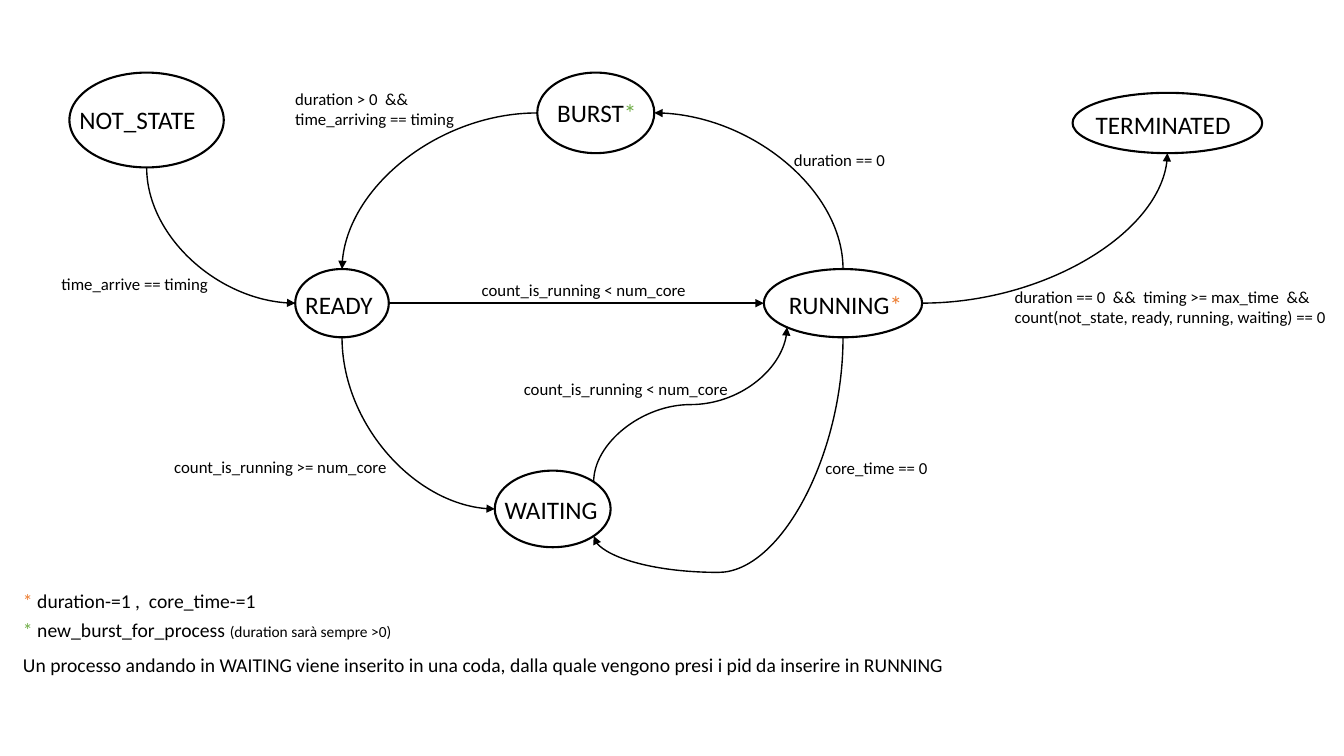
from math import cos, radians, sin

from lxml.etree import SubElement
from pptx import Presentation
from pptx.dml.color import RGBColor
from pptx.enum.shapes import MSO_CONNECTOR as Link, MSO_SHAPE as Preset
from pptx.enum.text import MSO_AUTO_SIZE as AutoSize
from pptx.oxml.ns import qn
from pptx.util import Cm, Pt

COLORS = {"black": "000000", "white": "FFFFFF", "orange": "ED7D31", "green": "70AD47"}
FRAME = {"word_wrap": True, "auto_size": AutoSize.SHAPE_TO_FIT_TEXT}
SITES = ["top", "top left", "left", "bottom left", "bottom", "bottom right", "right", "top right"]


def color(name):
    return RGBColor.from_string(COLORS[name])


def add_text(left, top, width, height, spans):
    box = page.shapes.add_textbox(Cm(left), Cm(top), Cm(width), Cm(height))
    for name, value in FRAME.items():
        setattr(box.text_frame, name, value)
    para = box.text_frame.paragraphs[0]
    for text, size, ink in spans:
        span = para.add_run()
        span.text = text
        for name, value in {"name": "Calibri", "size": Pt(size)}.items():
            setattr(span.font, name, value)
        span.font.color.rgb = color(ink)


deck = Presentation()
deck.slide_width, deck.slide_height = Cm(33.87), Cm(19.05)
page = deck.slides.add_slide(deck.slide_layouts[6])

states = {
    "NOT_STATE": (1.75, 1.83, 3.89, 2.39),
    "READY": (7.44, 6.78, 2.36, 1.72),
    "RUNNING": (19.25, 6.78, 3.99, 1.72),
    "WAITING": (12.47, 11.86, 2.92, 1.93),
    "BURST": (13.54, 1.83, 2.95, 2.03),
    "TERMINATED": (27.03, 2.34, 4.78, 1.52),
}
ovals = {}
for state, bounds in states.items():
    oval = page.shapes.add_shape(Preset.OVAL, *map(Cm, bounds))
    oval.shadow.inherit = False
    oval.fill.solid()
    oval.fill.fore_color.rgb = color("white")
    oval.line.color.rgb = color("black")
    oval.line.width = Pt(1.5)
    ovals[state] = oval

transitions = [
    ("NOT_STATE", "bottom", "READY", "left", 2, 270, "H", None),
    ("READY", "bottom", "WAITING", "left", 2, 270, "H", None),
    ("READY", "right", "RUNNING", "left", 3, 0, "V", 0.5),
    ("WAITING", "top right", "RUNNING", "bottom left", 3, 90, "HV", 0.5),
    ("RUNNING", "bottom", "WAITING", "bottom right", 3, 90, "", 1.183),
    ("RUNNING", "top", "BURST", "right", 2, 270, "V", None),
    ("BURST", "left", "READY", "top", 2, 180, "V", None),
    ("RUNNING", "right", "TERMINATED", "bottom", 2, 0, "V", None),
]
for source, leave, target, enter, bends, turn, flips, bend in transitions:
    ends = []
    for state, side in ((source, leave), (target, enter)):
        left, top, width, height = states[state]
        angle = radians(90 + 45 * SITES.index(side))
        ends.append((left + width / 2 * (1 + cos(angle)), top + height / 2 * (1 - sin(angle))))
    (x1, y1), (x2, y2) = ends
    width, height = abs(x2 - x1), abs(y2 - y1)
    if turn in (90, 270):
        width, height = height, width
    left, top = (x1 + x2 - width) / 2, (y1 + y2 - height) / 2
    arrow = page.shapes.add_connector(Link.CURVE, Cm(left), Cm(top), Cm(left + width), Cm(top + height))
    arrow.line.color.rgb = color("black")
    arrow.line.width = Pt(1)

    properties = arrow._element.spPr
    frame = properties.find(qn("a:xfrm"))
    frame.set("rot", str(turn * 60000))
    for flip in flips:
        frame.set("flip" + flip, "1")
    geometry = properties.find(qn("a:prstGeom"))
    geometry.set("prst", f"curvedConnector{bends}")
    if bend is not None:
        guides = geometry.find(qn("a:avLst"))
        if guides is None:
            guides = SubElement(geometry, qn("a:avLst"))
        SubElement(guides, qn("a:gd"), name="adj1", fmla=f"val {round(bend * 100000)}")
    SubElement(properties.find(qn("a:ln")), qn("a:tailEnd"), type="triangle")
    SubElement(properties, qn("a:effectLst"))

    glue = arrow._element.find(".//" + qn("p:cNvCxnSpPr"))
    for tag, state, side in (("a:stCxn", source, leave), ("a:endCxn", target, enter)):
        SubElement(glue, qn(tag), id=str(ovals[state].shape_id), idx=str(SITES.index(side)))

names = [
    ("NOT_STATE", 1.75, 2.51, 3.45, None),
    ("READY", 7.44, 7.16, 2.36, None),
    ("RUNNING", 19.63, 7.16, 3.58, "orange"),
    ("WAITING", 12.47, 12.32, 2.92, None),
    ("BURST", 13.79, 2.34, 2.92, "green"),
    ("TERMINATED", 27.36, 2.64, 3.99, None),
]
for state, left, top, width, star in names:
    spans = [(state, 18, "black")]
    if star:
        spans.append(("*", 18, star))
    add_text(left, top, width, 1.02, spans)

conditions = [
    ("time_arrive == timing", 1.3, 6.78, 4.32, 0.76),
    ("count_is_running < num_core", 11.89, 6.93, 6.17, 0.76),
    ("count_is_running >= num_core", 4.14, 11.38, 6.17, 0.76),
    ("count_is_running < num_core", 12.95, 9.42, 5.82, 0.76),
    ("duration == 0", 19.76, 3.66, 2.92, 0.76),
    ("duration > 0  &&  time_arriving == timing", 7.19, 2.11, 5.31, 1.27),
    ("duration == 0  &&  timing >= max_time  &&  count(not_state, ready, running, waiting) == 0",
     25.32, 7.09, 8.53, 1.27),
    ("core_time == 0", 20.55, 11.4, 3.33, 0.76),
]
for text, *bounds in conditions:
    add_text(*bounds, [(text, 12, "black")])

notes = [
    (14.71, 17.07, [("* ", 14, "orange"), ("duration-=1 ,  core_time-=1", 14, "black")]),
    (15.44, 15.49, [("* ", 14, "green"), ("new_burst_for_process ", 14, "black"),
                    ("(duration sarà sempre >0)", 11, "black")]),
    (16.33, 26.16, [("Un processo andando in WAITING viene inserito in una coda, "
                     "dalla quale vengono presi i pid da inserire in RUNNING", 14, "black")]),
]
for top, width, spans in notes:
    add_text(0.33, top, width, 0.86, spans)

deck.save("out.pptx")
